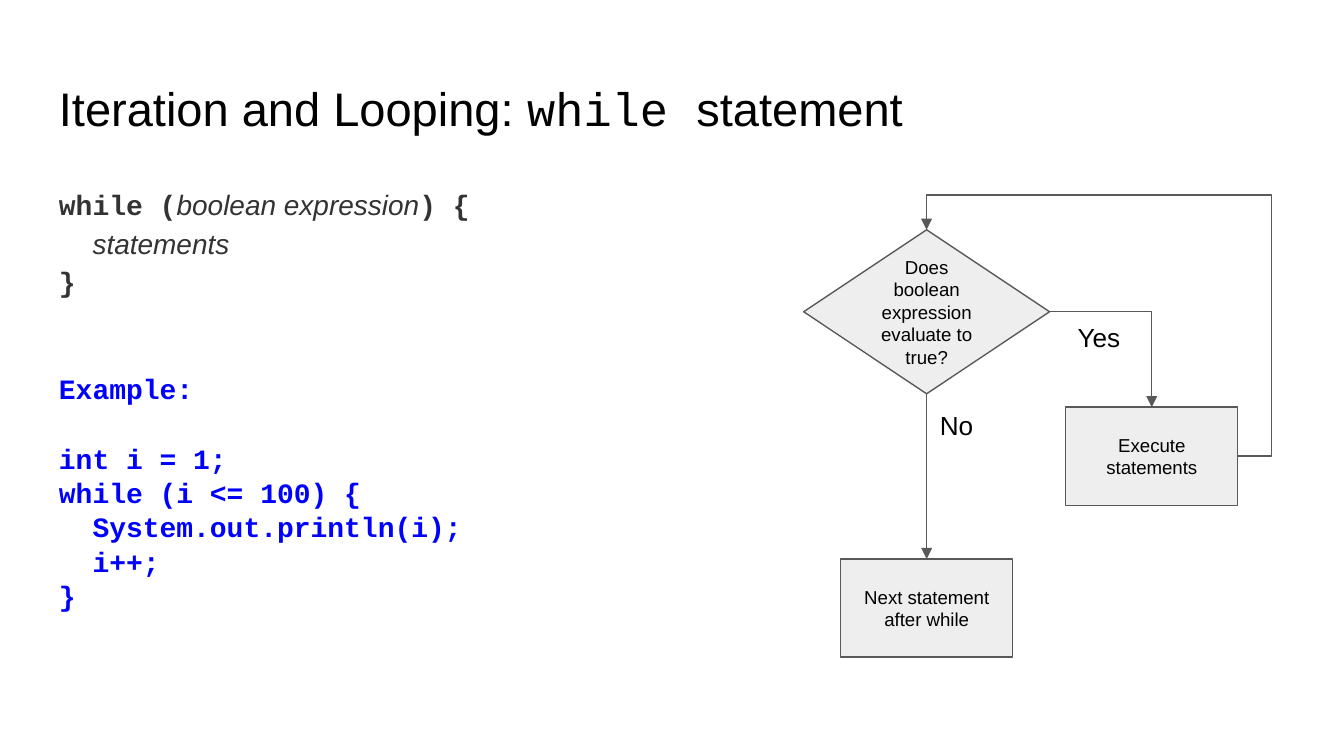
from pptx import Presentation
from pptx.dml.color import RGBColor
from pptx.enum.shapes import MSO_CONNECTOR, MSO_SHAPE
from pptx.enum.text import MSO_ANCHOR, PP_ALIGN
from pptx.oxml.ns import qn
from pptx.util import Inches, Pt
from lxml.etree import SubElement

BLACK = RGBColor(0x00, 0x00, 0x00)
DARK = RGBColor(0x33, 0x33, 0x33)
BLUE = RGBColor(0x00, 0x00, 0xFF)
GRAY = RGBColor(0x59, 0x59, 0x59)
PALE = RGBColor(0xEE, 0xEE, 0xEE)
SANS, MONO = "Arial", "Courier New"


def style(item, **values):
    for name, value in values.items():
        setattr(item, name, value)


def write(para, words, color=BLACK, **values):
    run = para.add_run()
    run.text = words
    style(run.font, **values)
    run.font.color.rgb = color


def pad(frame, wrap=True):
    style(frame, word_wrap=wrap)
    for side in ("left", "top", "right", "bottom"):
        setattr(frame, f"margin_{side}", Inches(0.1))


def add_text(slide, box, wrap=True):
    frame = slide.shapes.add_textbox(*map(Inches, box)).text_frame
    pad(frame, wrap)
    return frame


def add_title(slide, box):
    para = add_text(slide, box).paragraphs[0]
    for words, face in (("Iteration and Looping: ", SANS),
                        ("while ", MONO), ("statement", SANS)):
        write(para, words, name=face, size=Pt(25.2))


def add_code(slide, box):
    frame = add_text(slide, box)
    code = dict(name=MONO, size=Pt(15), bold=True)
    term = dict(name=SANS, size=Pt(15), italic=True)
    syntax = (
        (("while (", code), ("boolean expression", term), (") {", code)),
        (("  ", code), ("statements", term)),
        (("}", code),),
    )
    sample = (("Example:", 42.7), ("int i = 1;", 22.8),
              ("while (i <= 100) {", 4),
              ("  System.out.println(i);", 4),
              ("  i++;", 4), ("}", 4))
    for row, parts in enumerate(syntax):
        para = frame.add_paragraph() if row else frame.paragraphs[0]
        style(para, line_spacing=1.15, space_before=Pt(0))
        for words, look in parts:
            write(para, words, DARK, **look)
    for words, gap in sample:
        para = frame.add_paragraph()
        style(para, line_spacing=0.8, space_before=Pt(gap))
        write(para, words, BLUE, **code)


def add_node(slide, kind, box, words):
    node = slide.shapes.add_shape(kind, *map(Inches, box))
    node.shadow.inherit = False
    node.fill.solid()
    node.fill.fore_color.rgb = PALE
    node.line.color.rgb = GRAY
    node.line.width = Pt(0.75)
    frame = node.text_frame
    pad(frame)
    frame.vertical_anchor = MSO_ANCHOR.MIDDLE
    para = frame.paragraphs[0]
    para.alignment = PP_ALIGN.CENTER
    write(para, words, name=SANS, size=Pt(10))
    return node


def add_arrow(slide, start, end, preset=None, bends=()):
    kind = MSO_CONNECTOR.ELBOW if preset else MSO_CONNECTOR.STRAIGHT
    link = slide.shapes.add_connector(kind, *map(Inches, start + end))
    link.line.color.rgb = GRAY
    link.line.width = Pt(0.75)
    SubElement(link.line._get_or_add_ln(), qn("a:tailEnd"), type="triangle")
    props = link._element.spPr
    SubElement(props, qn("a:effectLst"))
    if preset:
        shape = props.find(qn("a:prstGeom"))
        shape.set("prst", preset)
        for place, bend in enumerate(bends, 1):
            SubElement(shape.find(qn("a:avLst")), qn("a:gd"),
                       name=f"adj{place}", fmla=f"val {round(bend * 100000)}")
    return link


def add_flow(slide, box):
    left, top, width, height = box
    wide, tall = 1.28, 0.73
    span, rise = 1.83, 1.22
    peak = top + 0.26
    mid = left + span / 2
    side = peak + rise / 2
    work = left + 1.95
    step = top + 1.58
    last = top + height - tall
    test = add_node(slide, MSO_SHAPE.FLOWCHART_DECISION,
                    (left, peak, span, rise),
                    "Does boolean expression evaluate to true?")
    add_node(slide, MSO_SHAPE.RECTANGLE, (work, step, wide, tall),
             "Execute statements")
    after = add_node(slide, MSO_SHAPE.RECTANGLE,
                     (mid - wide / 2, last, wide, tall),
                     "Next statement after while")
    down = add_arrow(slide, (mid, peak + rise), (mid, last))
    down.begin_connect(test, 2)
    down.end_connect(after, 0)
    add_arrow(slide, (left + span, side), (work + wide / 2, step),
              "bentConnector2")
    exit, back = work + wide, step + tall / 2
    add_arrow(slide, (exit, back), (mid, peak), "bentConnector4",
              ((exit - left - width) / (exit - mid),
               (back - top) / (back - peak)))
    for words, x, y in (("Yes", left + 1.94, top + 0.84),
                        ("No", mid, top + 1.5)):
        para = add_text(slide, (x, y, 0.53, 0.44), False).paragraphs[0]
        write(para, words, name=SANS, size=Pt(14))


def main():
    deck = Presentation()
    width = Inches(10)
    style(deck, slide_width=width, slide_height=width * 9 // 16)
    slide = deck.slides.add_slide(deck.slide_layouts[6])
    add_title(slide, (0.34, 0.49, 9.32, 0.63))
    add_flow(slide, (5.98, 1.45, 3.48, 3.44))
    add_code(slide, (0.34, 1.26, 4.59, 4.17))
    deck.save("out.pptx")


if __name__ == "__main__":
    main()
